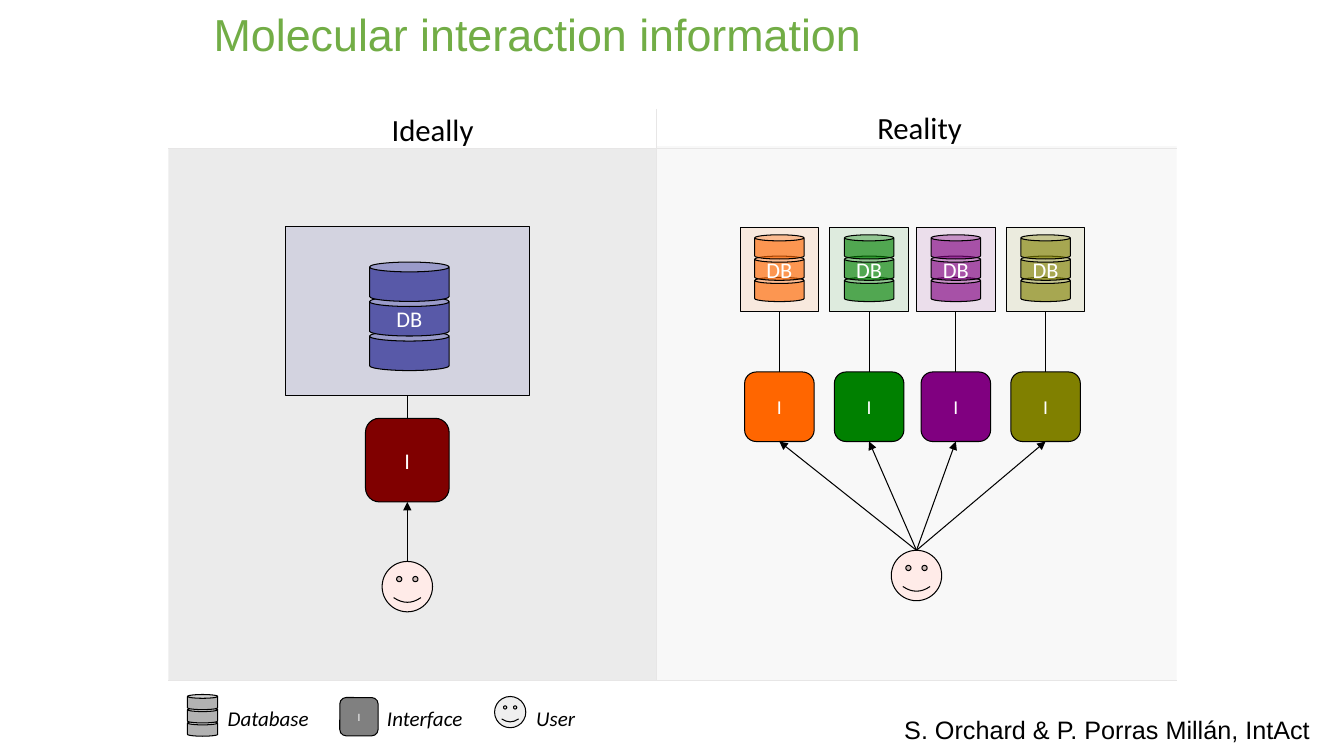
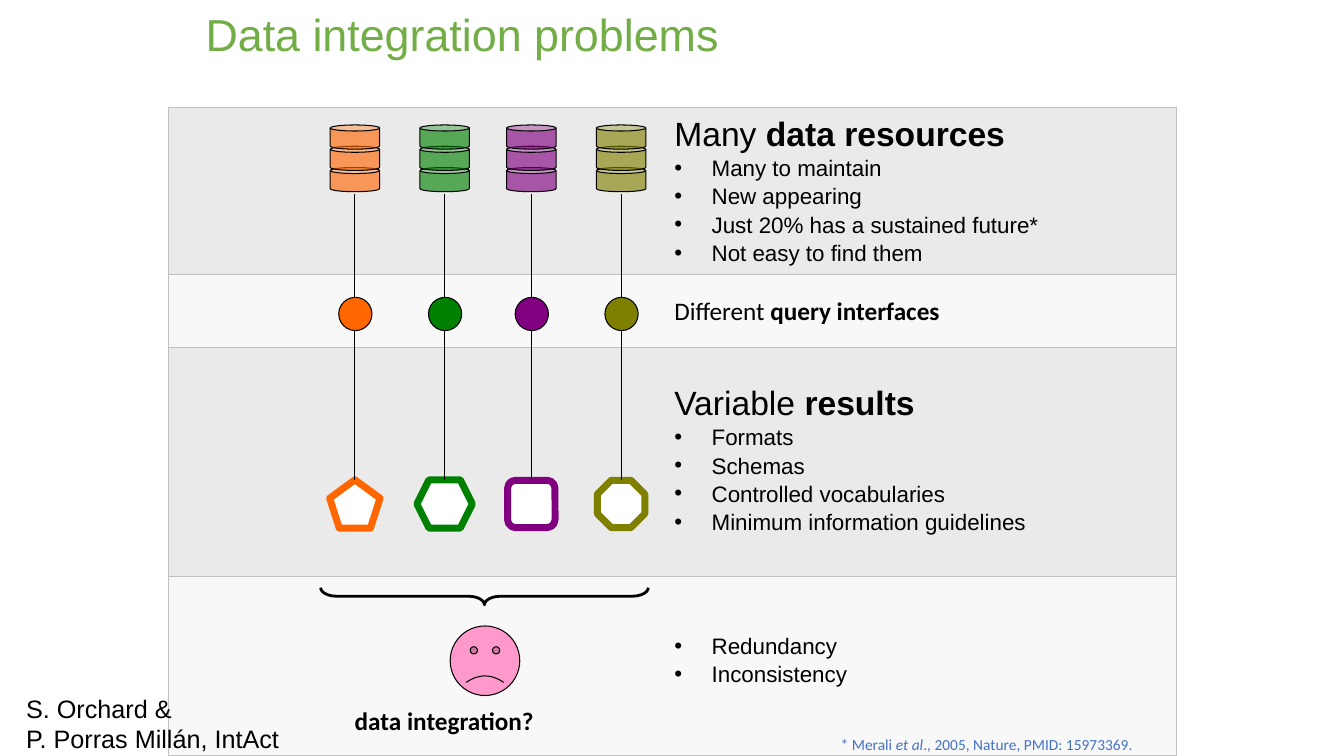
from lxml import etree
from pptx import Presentation, util as u
from pptx.dml.color import RGBColor
from pptx.enum import shapes as es, text as et
from pptx.oxml.ns import qn

KIND = es.MSO_SHAPE
ALIGN = et.PP_ALIGN
WIDE, HIGH = 13.33, 7.5

# Colours
BLACK = RGBColor(0, 0, 0)
WHITE = RGBColor(255, 255, 255)
TITLE = RGBColor(0x72, 0xAD, 0x46)
CITE = RGBColor(0x44, 0x72, 0xC4)
RULE = RGBColor(0xE7, 0xE6, 0xE6)
SILVER = RGBColor(0xC0, 0xC0, 0xC0)
DARK = RGBColor(0xEA, 0xEA, 0xEA)
LIGHT = RGBColor(0xF8, 0xF8, 0xF8)
ASH = RGBColor(0xB2, 0xB2, 0xB2)
GREY = RGBColor(0x80, 0x80, 0x80)
NAVY = RGBColor(0, 0, 0x80)
INDIGO = RGBColor(0x58, 0x59, 0xA8)
MAROON = RGBColor(0x80, 0, 0)
SKIN = RGBColor(0xFF, 0xEB, 0xE8)
PINK = RGBColor(0xFF, 0x99, 0xCC)
ORANGE = RGBColor(0xFF, 0x66, 0)
GREEN = RGBColor(0, 0x80, 0)
PURPLE = RGBColor(0x80, 0, 0x80)
OLIVE = RGBColor(0x80, 0x80, 0)

# Content: each source has a colour, an offset and a result (kind, width, height)
SOURCES = [
    (ORANGE, 0, (KIND.REGULAR_PENTAGON, 0.5, 0.48)),
    (GREEN, 0.89, (KIND.HEXAGON, 0.55, 0.48)),
    (PURPLE, 1.75, (KIND.ROUNDED_RECTANGLE, 0.47, 0.47)),
    (OLIVE, 2.64, (KIND.OCTAGON, 0.47, 0.47)),
]
HEADS = [("Ideally", 2.5, 1.03), ("Reality", 7.33, 1.01)]
LEGEND = [("Database", 2.16), ("Interface", 3.74), ("User", 5.22)]
BANDS = [(1.65, DARK), (0.73, LIGHT), (2.27, DARK), (1.78, LIGHT)]
# Text runs are plain strings or (string, style) pairs
LISTS = [
    (1.07, ["Many ", ("data resources", "b")],
     ["Many to maintain", "New appearing",
      "Just 20% has a sustained future*", "Not easy to find them"]),
    (3.74, ["Variable ", ("results", "b")],
     ["Formats", "Schemas", "Controlled vocabularies",
      "Minimum information guidelines"]),
    (6.21, None, ["Redundancy", "Inconsistency"]),
]
QUERY = ["Different ", ("query interfaces", "b")]
PAPER = ["* Merali ", ("et al", "i"), "., 2005, Nature, PMID: 15973369."]
LEFT, TOP, MID, RIGHT, BASE = 1.67, 1.07, 6.51, 11.67, 6.75


def inch(*nums):
    return [u.Inches(n) for n in nums]


def style(par, size, font, color, space=None):
    par.line_spacing = space
    for run in par.runs:
        run.font.size, run.font.name = u.Pt(size), font
        run.font.color.rgb = color


def fill_runs(par, parts):
    for part in parts:
        words, look = part if isinstance(part, tuple) else (part, "")
        run = par.add_run()
        run.text = words
        run.font.bold, run.font.italic = "b" in look, "i" in look


def write(slide, paras, box, size, font="Arial", color=BLACK, space=None,
          align=ALIGN.LEFT):
    """Add a text box; each paragraph is a list of runs."""
    frame = slide.shapes.add_textbox(*inch(*box)).text_frame
    frame.word_wrap = True
    for n, parts in enumerate(paras):
        par = frame.add_paragraph() if n else frame.paragraphs[0]
        fill_runs(par, parts)
        par.alignment = align
        style(par, size, font, color, space)
    return frame


def draw(slide, kind, box, fill=None, alpha=100, line=BLACK, width=0.75,
         label="", size=16):
    shape = slide.shapes.add_shape(kind, *inch(*box))
    shape.shadow.inherit = False
    if fill is None:
        shape.fill.background()
    else:
        shape.fill.solid()
        shape.fill.fore_color.rgb = fill
        if alpha < 100:
            tint = shape.element.spPr.find(qn("a:solidFill"))[0]
            etree.SubElement(tint, qn("a:alpha"), val=str(alpha * 1000))
    if line is None:
        shape.line.fill.background()
    else:
        shape.line.color.rgb, shape.line.width = line, u.Pt(width)
    if label:
        frame = shape.text_frame
        frame.text, frame.word_wrap = label, False
        frame.vertical_anchor = et.MSO_ANCHOR.MIDDLE
        frame.paragraphs[0].alignment = ALIGN.CENTER
        style(frame.paragraphs[0], size, "Calibri", WHITE)
    return shape


def link(slide, start=(0, 0), end=(0, 0), color=BLACK, arrow=False,
         tail=None, head=None):
    """Draw a line; tail and head are (shape, site) pairs to join."""
    wire = slide.shapes.add_connector(es.MSO_CONNECTOR.STRAIGHT,
                                      *inch(*start, *end))
    wire.line.color.rgb, wire.line.width = color, u.Pt(0.75)
    if arrow:
        etree.SubElement(wire.line._get_or_add_ln(), qn("a:tailEnd"),
                         type="triangle")
    etree.SubElement(wire.element.spPr, qn("a:effectLst"))
    if tail:
        wire.begin_connect(*tail)
    if head:
        wire.end_connect(*head)


def stack(slide, mid, top, wide, high, color, alpha=100, label=""):
    """Three overlapping cans, lowest first."""
    for row in (2, 1, 0):
        draw(slide, KIND.CAN,
             (mid - wide / 2, top + row * high * 0.88, wide, high),
             color, alpha, label=label if row == 1 else "")


def face(slide, mid, top, size, color, alpha=100):
    return draw(slide, KIND.SMILEY_FACE, (mid - size / 2, top, size, size),
                color, alpha)


def start(deck, title, left):
    slide = deck.slides.add_slide(deck.slide_layouts[6])
    frame = write(slide, [[title]], (left, 0.07, 9, 0.59), 32,
                  color=TITLE, space=0.9)
    frame.vertical_anchor = et.MSO_ANCHOR.MIDDLE
    return slide


def access(slide, mid, box, size, top, color, label):
    """Interface button joined to the database box above it."""
    key = draw(slide, KIND.ROUNDED_RECTANGLE,
               (mid - size / 2, top, size, size), color, label="I", size=label)
    link(slide, tail=(box, 2), head=(key, 0))
    return key


def compare(deck):
    slide = start(deck, "Molecular interaction information", 2.02)
    # Two halves and their rules
    draw(slide, KIND.RECTANGLE, (LEFT, 1.47, MID - LEFT, BASE - 1.47),
         SILVER, 30, None)
    draw(slide, KIND.RECTANGLE, (MID, 1.45, RIGHT - MID, BASE - 1.45),
         SILVER, 10, None)
    link(slide, (MID, 1.08), (MID, BASE), RULE)
    for y in (1.47, BASE):
        link(slide, (LEFT, y), (RIGHT, y), RULE)
    for head, x, y in HEADS:
        write(slide, [[head]], (x, y, 3.58, 0.49), 22, "Calibri",
              space=1.04, align=ALIGN.CENTER)

    # Ideal: one database, one interface
    mid = 4.04
    box = draw(slide, KIND.RECTANGLE, (mid - 1.21, 2.25, 2.42, 1.67), NAVY, 10)
    stack(slide, mid + 0.02, 2.6, 0.79, 0.39, INDIGO, label="DB")
    key = access(slide, mid, box, 0.83, 4.15, MAROON, 16)
    user = face(slide, mid, 5.57, 0.5, SKIN)
    link(slide, arrow=True, tail=(user, 0), head=(key, 2))

    # Reality: one user, many databases
    user = face(slide, 9.09, 5.46, 0.5, SKIN)
    for color, step, _ in SOURCES:
        mid = 7.73 + step
        box = draw(slide, KIND.RECTANGLE, (mid - 0.39, 2.26, 0.78, 0.83),
                   color, 10)
        stack(slide, mid, 2.33, 0.49, 0.24, color, 63, "DB")
        key = access(slide, mid, box, 0.69, 3.69, color, 14)
        link(slide, arrow=True, tail=(user, 0), head=(key, 2))

    # Legend and credit
    stack(slide, 2.01, 6.89, 0.3, 0.15, ASH)
    draw(slide, KIND.ROUNDED_RECTANGLE, (3.37, 6.92, 0.38, 0.38), GREY,
         label="I", size=8)
    face(slide, 5.06, 6.91, 0.31, SILVER, 24)
    for name, x in LEGEND:
        write(slide, [[(name, "i")]], (x, 6.94, 1.2, 0.35), 15, "Calibri",
              space=1.04)
    write(slide, [["S. Orchard & P. Porras Millán, IntAct"]],
          (8.87, 7.04, 4.4, 0.4), 18)


def bullet(par):
    props = par._p.get_or_add_pPr()
    props.set("marL", str(u.Inches(0.37)))
    props.set("indent", str(-u.Inches(0.37)))
    etree.SubElement(props, qn("a:buFont"), typeface="Arial")
    etree.SubElement(props, qn("a:buChar"), char="•")


def problems(deck):
    slide = start(deck, "Data integration problems", 1.94)
    # Bands
    y = TOP
    for high, color in BANDS:
        draw(slide, KIND.RECTANGLE, (LEFT, y, RIGHT - LEFT, high), color,
             line=SILVER)
        y += high

    # Sources, query interfaces and results
    for color, step, (kind, wide, high) in SOURCES:
        mid = 3.52 + step
        stack(slide, mid, 1.24, 0.49, 0.24, color, 63)
        result = draw(slide, kind, (mid - wide / 2, 5 - high / 2, wide, high),
                      WHITE, line=color, width=5)
        square = kind == KIND.ROUNDED_RECTANGLE
        link(slide, (mid, 1.92), (mid, 5 - high / 2),
             head=(result, 0) if square else None)
        draw(slide, KIND.OVAL, (mid - 0.16, 2.95, 0.33, 0.33), color)

    # Brace and unhappy user
    brace = draw(slide, KIND.LEFT_BRACE, (4.72, 4.29, 0.17, 3.25), width=2)
    brace.rotation = 270
    brace.adjustments[0], brace.adjustments[1] = 0.94, 0.5
    face(slide, 4.81, 6.21, 0.69, PINK).adjustments[0] = -0.05
    write(slide, [[("data integration?", "b")]], (3.42, 6.95, 2.2, 0.4), 18,
          "Calibri")

    # Lists
    for y, head, points in LISTS:
        paras = ([head] if head else []) + [[point] for point in points]
        frame = write(slide, paras, (6.59, y, 5, 0.3 * len(paras)), 16)
        pars = list(frame.paragraphs)
        if head:
            style(pars.pop(0), 24, "Arial", BLACK)
        for par in pars:
            par.line_spacing = 1.05
            bullet_first = par._p.get_or_add_pPr()
            bullet_first.set("lvl", "0")
            bullet(par)
    write(slide, [QUERY], (6.59, 2.88, 3.2, 0.4), 18, "Calibri")

    # Citation and credit
    write(slide, [PAPER], (8.24, 7.24, 3.43, 0.26), 11, "Calibri", CITE)
    write(slide, [["S. Orchard &"], ["P. Porras Millán, IntAct"]],
          (0.16, 6.83, 3.02, 0.67), 18)


def main():
    deck = Presentation()
    deck.slide_width, deck.slide_height = inch(WIDE, HIGH)
    compare(deck)
    problems(deck)
    deck.save("out.pptx")


if __name__ == "__main__":
    main()
